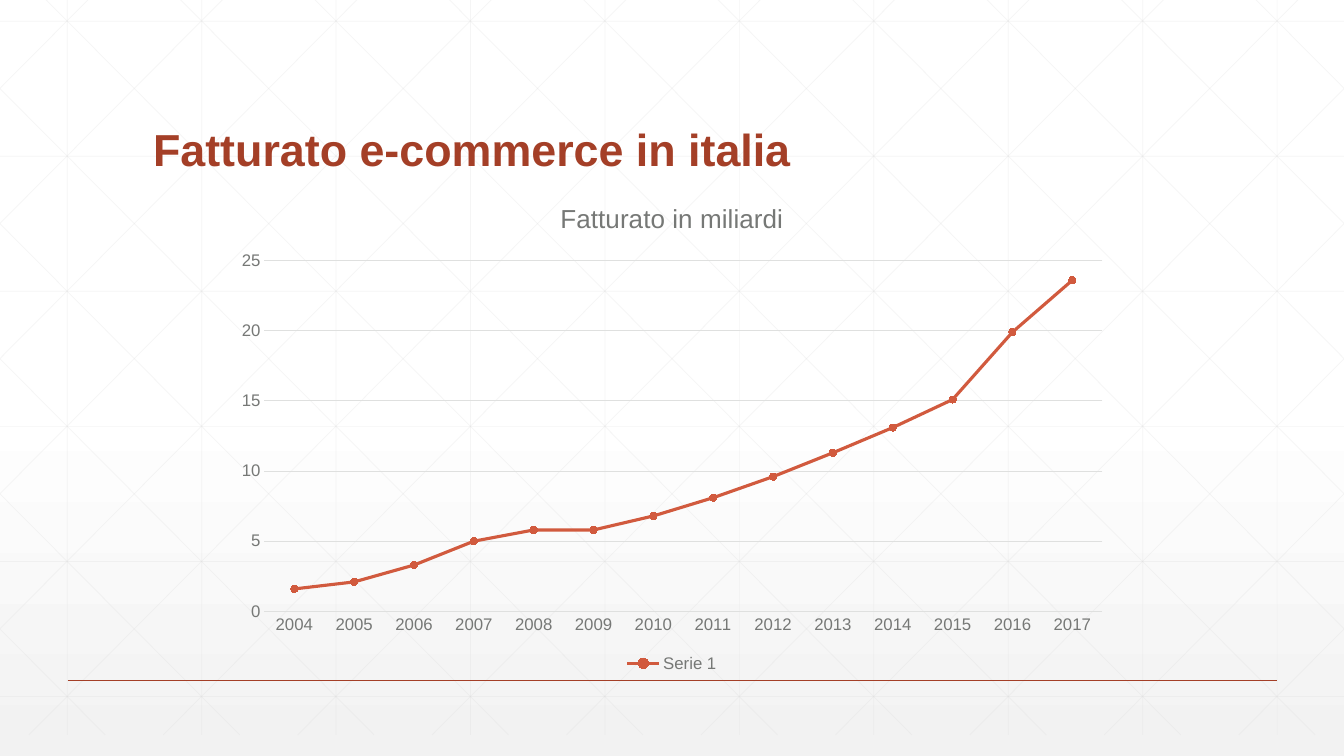
from copy import deepcopy

from lxml.etree import SubElement
from pptx import Presentation
from pptx.chart.data import CategoryChartData
from pptx.dml.color import RGBColor
from pptx.enum.chart import XL_CHART_TYPE, XL_LEGEND_POSITION, XL_MARKER_STYLE, XL_TICK_MARK
from pptx.enum.shapes import MSO_CONNECTOR
from pptx.enum.text import MSO_ANCHOR
from pptx.oxml.ns import qn
from pptx.util import Inches, Pt

WIDTH, HEIGHT = 13.33, 7.5
GRID_TOP, GRID_BOTTOM = -0.21, 7.29
STEP = 4 / 3
DIAGONAL_START, DIAGONAL_RUN = 0.25, 7.46
FONT = "Arial"
RUST, ORANGE, GRAY, PALE, MESH = "A43F27", "D15A3E", "767876", "DFE0DF", "D9D9D9"
REVENUE = {
    "2004": 1.6, "2005": 2.1, "2006": 3.3, "2007": 5, "2008": 5.8,
    "2009": 5.8, "2010": 6.8, "2011": 8.1, "2012": 9.6, "2013": 11.3,
    "2014": 13.1, "2015": 15.1, "2016": 19.9, "2017": 23.6,
}


def color(value):
    return RGBColor.from_string(value)


def style_font(font, size, value, bold=False):
    font.name = FONT
    font.size = Pt(size)
    font.bold = bold
    font.color.rgb = color(value)


def style_line(line, value, width):
    line.color.rgb = color(value)
    line.width = Pt(width)


def paint_background(page):
    fill = page.background.fill
    fill.gradient()
    fill.gradient_angle = 270
    stop_list = page.element.find(".//" + qn("a:gsLst"))
    stop_list.insert(1, deepcopy(stop_list[0]))
    for stop, position, value in zip(
        fill.gradient_stops, (0, 0.53, 1), ("FFFFFF", "FFFFFF", "F2F2F2")
    ):
        stop.position = position
        stop.color.rgb = color(value)


def add_line(shapes, start, end, value, width, opacity=100):
    points = [Inches(number) for number in (*start, *end)]
    line = shapes.add_connector(MSO_CONNECTOR.STRAIGHT, *points)
    style_line(line.line, value, width)
    properties = line.element.spPr
    SubElement(properties, qn("a:effectLst"))
    if opacity < 100:
        tint = properties.find(".//" + qn("a:srgbClr"))
        SubElement(tint, qn("a:alpha")).set("val", str(opacity * 1000))


def diagonal(top_x):
    slope = (GRID_BOTTOM - GRID_TOP) / DIAGONAL_RUN
    left = max(top_x, 0)
    right = min(top_x + DIAGONAL_RUN, WIDTH)
    return [(x, GRID_TOP + (x - top_x) * slope) for x in (left, right)]


def add_mesh(page):
    segments = []
    for column in range(10):
        x = STEP * (column + 0.5)
        segments.append([(x, GRID_TOP), (x, GRID_BOTTOM)])
    for row in range(6):
        y = 0.21 + 1.34 * row
        segments.append([(0, y), (WIDTH, y)])
    for index in range(-5, 10):
        falling = diagonal(DIAGONAL_START + STEP * index)
        segments.append(falling)
        segments.append([(WIDTH - x, y) for x, y in falling])
    mesh = page.shapes.add_group_shape()
    for start, end in segments:
        add_line(mesh.shapes, start, end, MESH, 0.5, 25)


def add_title(page, text):
    box = page.shapes.add_textbox(Inches(1.42), Inches(0.55), Inches(10.5), Inches(1.25))
    frame = box.text_frame
    frame.word_wrap = True
    frame.vertical_anchor = MSO_ANCHOR.BOTTOM
    para = frame.paragraphs[0]
    para.line_spacing = 0.9
    span = para.add_run()
    span.text = text
    style_font(span.font, 32, RUST, bold=True)


def style_axis(axis):
    axis.major_tick_mark = XL_TICK_MARK.NONE
    axis.minor_tick_mark = XL_TICK_MARK.NONE
    style_font(axis.tick_labels.font, 12, GRAY)


def add_revenue_chart(page):
    data = CategoryChartData()
    data.categories = list(REVENUE)
    data.add_series("Serie 1", list(REVENUE.values()))
    chart = page.shapes.add_chart(
        XL_CHART_TYPE.LINE_MARKERS,
        Inches(2.22), Inches(1.8), Inches(8.89), Inches(4.91), data,
    ).chart
    style_font(chart.font, 10, "2D2E2D")

    chart.has_title = True
    span = chart.chart_title.text_frame.paragraphs[0].add_run()
    span.text = "Fatturato in miliardi"
    style_font(span.font, 18.6, GRAY)
    chart.chart_title.include_in_layout = False

    chart.has_legend = True
    chart.legend.position = XL_LEGEND_POSITION.BOTTOM
    chart.legend.include_in_layout = False
    style_font(chart.legend.font, 12, GRAY)

    years, values = chart.category_axis, chart.value_axis
    style_axis(years)
    style_axis(values)
    style_line(years.format.line, PALE, 0.75)
    values.format.line.fill.background()
    values.minimum_scale, values.maximum_scale, values.major_unit = 0, 25, 5
    values.has_major_gridlines = True
    style_line(values.major_gridlines.format.line, PALE, 0.75)

    chart.plots[0].vary_by_categories = False
    series = chart.plots[0].series[0]
    series.smooth = False
    style_line(series.format.line, ORANGE, 2.25)
    marker = series.marker
    marker.style = XL_MARKER_STYLE.CIRCLE
    marker.size = 5
    marker.format.fill.solid()
    marker.format.fill.fore_color.rgb = color(ORANGE)
    style_line(marker.format.line, ORANGE, 0.75)


def main():
    deck = Presentation()
    deck.slide_width, deck.slide_height = Inches(WIDTH), Inches(HEIGHT)
    page = deck.slides.add_slide(deck.slide_layouts[6])
    paint_background(page)
    add_mesh(page)
    add_line(page.shapes, (0.67, 6.75), (12.67, 6.75), RUST, 1)
    add_title(page, "Fatturato e-commerce in italia")
    add_revenue_chart(page)
    deck.save("out.pptx")


main()
